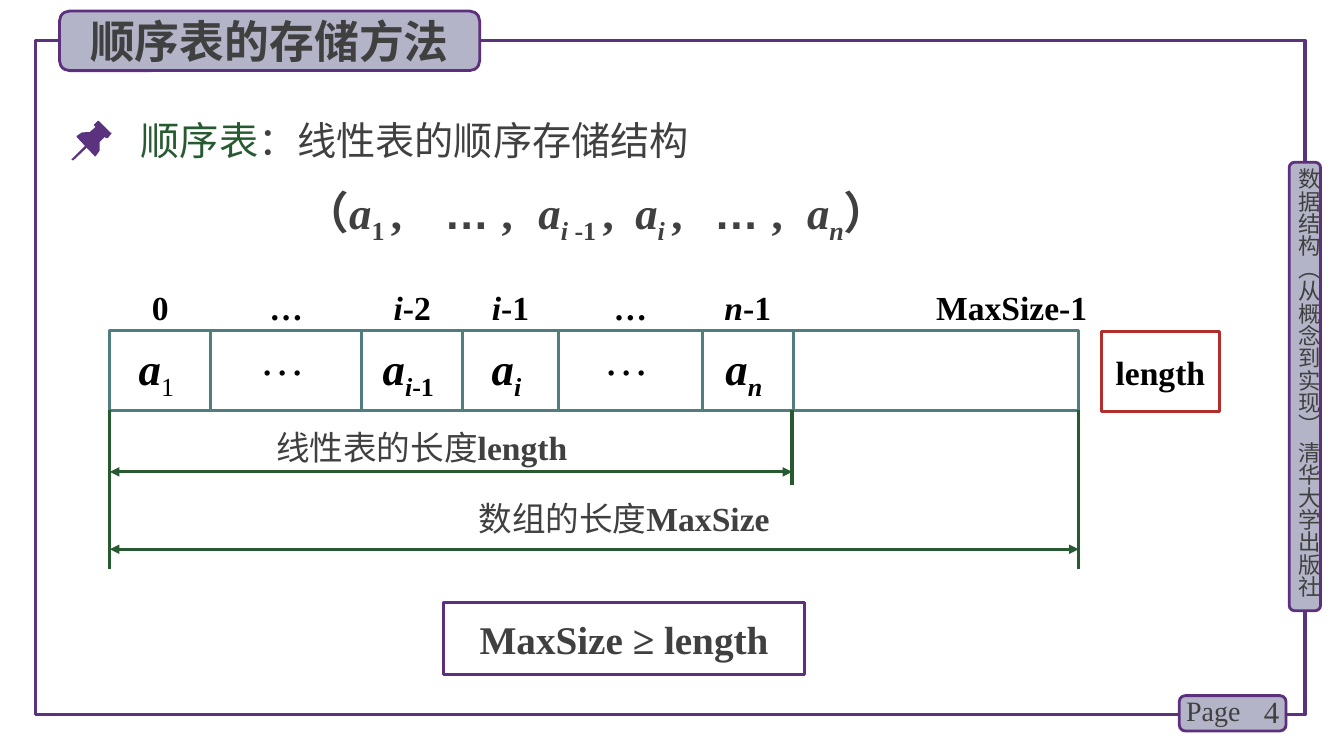
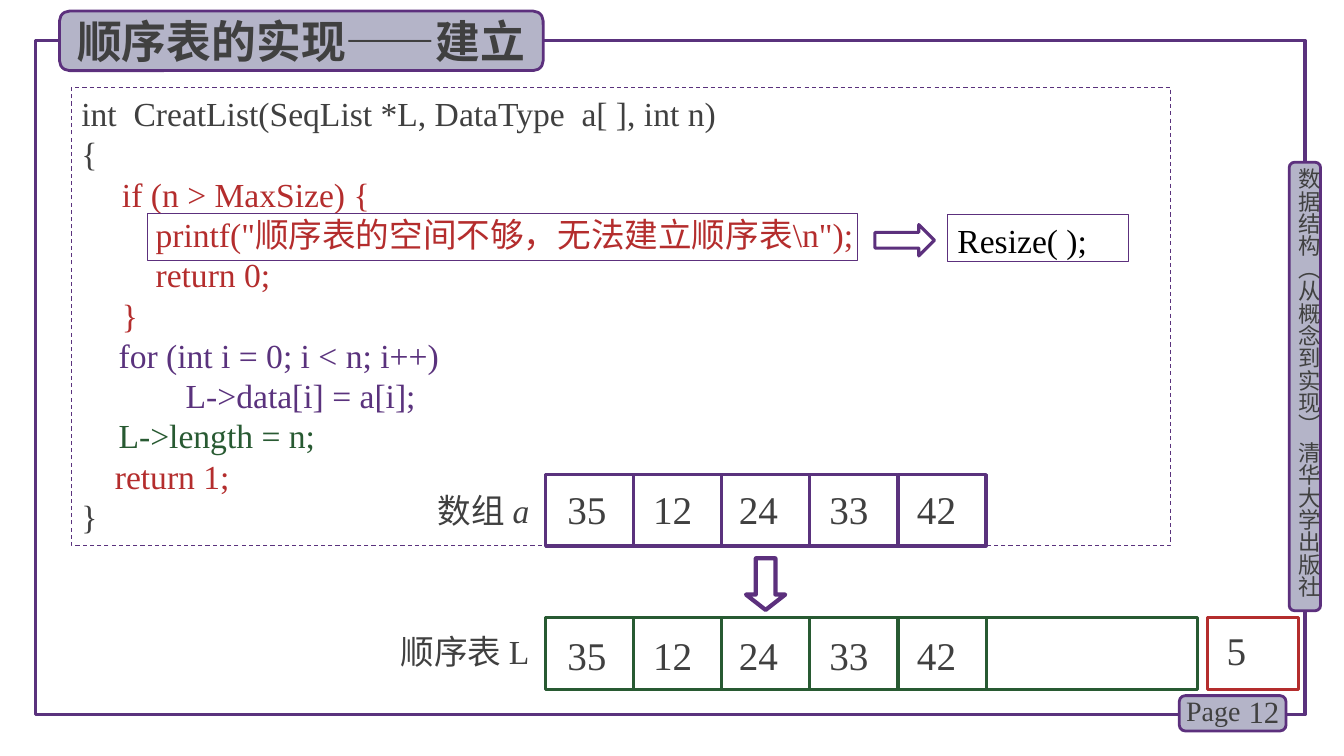
"""Build two slides on sequential lists: their storage and their creation."""
from typing import NamedTuple

from lxml import etree
from pptx import Presentation
from pptx.dml.color import RGBColor
from pptx.enum.dml import MSO_LINE
from pptx.enum.shapes import MSO_CONNECTOR, MSO_SHAPE
from pptx.enum.text import MSO_ANCHOR, PP_ALIGN
from pptx.oxml.ns import qn
from pptx.util import Cm, Pt

RECTANGLE, ROUNDED = MSO_SHAPE.RECTANGLE, MSO_SHAPE.ROUNDED_RECTANGLE
RIGHT_ARROW, DOWN_ARROW = MSO_SHAPE.RIGHT_ARROW, MSO_SHAPE.DOWN_ARROW
LEFT, CENTER, RIGHT = PP_ALIGN.LEFT, PP_ALIGN.CENTER, PP_ALIGN.RIGHT
TOP, MIDDLE = MSO_ANCHOR.TOP, MSO_ANCHOR.MIDDLE
STRAIGHT, DASH = MSO_CONNECTOR.STRAIGHT, MSO_LINE.DASH

PURPLE = RGBColor(0x5A, 0x32, 0x7D)
VIOLET = RGBColor(0x5C, 0x30, 0x7D)
LAVENDER = RGBColor(0xB4, 0xB4, 0xC8)
GREY = RGBColor(0x40, 0x40, 0x40)
GREEN = RGBColor(0x28, 0x5A, 0x32)
TEAL = RGBColor(0x50, 0x7D, 0x7D)
RED = RGBColor(0xB4, 0x2D, 0x2D)
BLACK = RGBColor(0, 0, 0)
TIMES, SANS, ARIAL = "Times New Roman", "Noto Sans CJK SC", "Arial"


class Run(NamedTuple):
    text: str
    colour: RGBColor = GREY
    bold: bool = False
    italic: bool = False
    subscript: bool = False
    font: str = TIMES


def add_box(slide, preset, place, paragraphs=(), size=24, line=None, weight=2.25, fill=None,
            align=LEFT, anchor=TOP, margins=(0.25, 0.13), wrap=True):
    """Add a preset shape, or a text box when preset is None, and write its runs."""
    place = [Cm(length) for length in place]
    if preset is None:
        shape = slide.shapes.add_textbox(*place)
    else:
        shape = slide.shapes.add_shape(preset, *place)
        shape.shadow.inherit = False
        shape.line.color.rgb = line
        shape.line.width = Pt(weight)
        if fill is None:
            shape.fill.background()
        else:
            shape.fill.solid()
            shape.fill.fore_color.rgb = fill
    frame = shape.text_frame
    frame.word_wrap = wrap
    frame.vertical_anchor = anchor
    frame.margin_left = frame.margin_right = Cm(margins[0])
    frame.margin_top = frame.margin_bottom = Cm(margins[1])
    for index, runs in enumerate(paragraphs):
        paragraph = frame.add_paragraph() if index else frame.paragraphs[0]
        paragraph.alignment = align
        for item in runs:
            run = paragraph.add_run()
            run.text = item.text
            run.font.size = Pt(size)
            run.font.bold = item.bold
            run.font.italic = item.italic
            run.font.color.rgb = item.colour
            run.font.name = item.font
            properties = run._r.get_or_add_rPr()
            etree.SubElement(properties, qn("a:ea")).set("typeface", SANS)
            if item.subscript:
                properties.set("baseline", "-25000")
    return shape


def add_line(slide, start, end, colour, arrows=False):
    """Add a straight line, with a triangle at both ends when arrows is set."""
    connector = slide.shapes.add_connector(
        STRAIGHT, *(Cm(length) for length in (*start, *end)))
    connector.line.color.rgb = colour
    connector.line.width = Pt(2.25)
    properties = connector._element.spPr
    if arrows:
        for name in ("a:headEnd", "a:tailEnd"):
            etree.SubElement(properties.find(qn("a:ln")), qn(name)).set("type", "triangle")
    etree.SubElement(properties, qn("a:effectLst"))


presentation = Presentation()
presentation.slide_width = Cm(33.87)
presentation.slide_height = Cm(19.05)

slides = []
for title, title_width, number in (("顺序表的存储方法", 10.59, "4"),
                                   ("顺序表的实现——建立", 12.19, "12")):
    slide = presentation.slides.add_slide(presentation.slide_layouts[6])
    slides.append(slide)
    add_box(slide, RECTANGLE, (0.89, 1.02, 32, 16.99), line=PURPLE)
    add_box(slide, ROUNDED, (32.49, 4.09, 0.79, 11.3), line=VIOLET, weight=2, fill=LAVENDER)
    side_text = add_box(slide, None, (32.64, 4.24, 0.69, 11.4),
                        [[Run("数据结构（从概念到实现） 清华大学出版社", font=SANS)]],
                        size=16, margins=(0, 0))
    side_text._element.txBody.bodyPr.set("vert", "eaVert")
    add_box(slide, ROUNDED, (29.72, 17.53, 2.69, 0.89), line=VIOLET, weight=2, fill=LAVENDER)
    add_box(slide, None, (30.99, 17.42, 1.5, 1.02), [[Run(number)]], size=22,
            align=RIGHT, anchor=MIDDLE)
    add_box(slide, None, (29.64, 17.35, 1.98, 1.12), [[Run("Page")]], size=20)
    add_box(slide, ROUNDED, (1.5, 0.28, title_width, 1.5),
            [[Run(title, bold=True, font=SANS)]], size=32, line=VIOLET, weight=2,
            fill=LAVENDER, align=CENTER, anchor=MIDDLE, wrap=False)

storage, creation = slides

PIN_HEAD = ((2.79, 3.35), (2.49, 3.05), (2.46, 3.05), (2.36, 3.15), (2.41, 3.2),
            (2.26, 3.33), (2.18, 3.33), (2.06, 3.34), (1.93, 3.43), (1.93, 3.45),
            (2.39, 3.94), (2.41, 3.94), (2.51, 3.8), (2.51, 3.58), (2.64, 3.45),
            (2.67, 3.48), (2.72, 3.48), (2.82, 3.35))
PIN_NEEDLE = ((1.85, 4.04), (1.83, 4.04), (1.8, 4.02), (1.83, 3.99), (2.16, 3.66),
              (2.2, 3.66), (2.2, 3.71))
for outline in (PIN_HEAD, PIN_NEEDLE):
    points = [(Cm(x), Cm(y)) for x, y in outline]
    builder = storage.shapes.build_freeform(*points[0])
    builder.add_line_segments(points[1:])
    pin_part = builder.convert_to_shape()
    pin_part.shadow.inherit = False
    pin_part.fill.solid()
    pin_part.fill.fore_color.rgb = PURPLE
    pin_part.line.fill.background()

add_box(storage, None, (3.3, 2.79, 15.04, 1.45),
        [[Run("顺序表", GREEN, font=SANS), Run("：线性表的顺序存储结构", font=SANS)]], size=28)

variable = Run("a", bold=True, italic=True)
plain = Run("", bold=True)
index_run = Run("", bold=True, italic=True, subscript=True)
dots = Run("\t… ", bold=True, font=ARIAL)
comma = plain._replace(text=",")
next_variable = variable._replace(text="\ta")
formula = add_box(storage, None, (7.42, 4.52, 17.2, 1.63), [[
    plain._replace(text="（"), variable,
    Run("1 ", bold=True, subscript=True), comma, dots, comma,
    next_variable, index_run._replace(text="i "),
    Run("-1 ", bold=True, subscript=True), comma,
    next_variable, index_run._replace(text="i "), comma, dots, comma,
    next_variable, index_run._replace(text="n"), plain._replace(text="）")]], size=32)
tab_list = etree.SubElement(formula.text_frame.paragraphs[0]._p.get_or_add_pPr(),
                            qn("a:tabLst"))
for position in (3.53, 5.9, 8.34, 10.33, 12.67):
    tab_stop = etree.SubElement(tab_list, qn("a:tab"))
    tab_stop.set("pos", str(Cm(position)))
    tab_stop.set("algn", "l")

CELL_EDGES = (2.77, 5.31, 9.12, 11.66, 14.07, 17.7, 19.99, 27.18)
CELL_TOP, CELL_HEIGHT = 8.33, 2.01
CELL_BOTTOM = CELL_TOP + CELL_HEIGHT
label = Run("", BLACK, bold=True)
label_index = label._replace(italic=True)
element = Run("a", BLACK, bold=True, italic=True)
element_index = element._replace(subscript=True)
ellipsis_label = [label._replace(text="…")]
ellipsis = [Run("…", BLACK)]
CELLS = (
    ([label._replace(text="0")], [element, Run("1", BLACK, subscript=True)]),
    (ellipsis_label, ellipsis),
    ([label_index._replace(text="i"), label._replace(text="-2")],
     [element, element_index._replace(text="i"),
      label._replace(text="-1", subscript=True)]),
    ([label_index._replace(text="i"), label._replace(text="-1")],
     [element, element_index._replace(text="i")]),
    (ellipsis_label, ellipsis),
    ([label_index._replace(text="n"), label._replace(text="-1")],
     [element, element_index._replace(text="n")]),
)
add_box(storage, RECTANGLE,
        (CELL_EDGES[0], CELL_TOP, CELL_EDGES[-1] - CELL_EDGES[0], CELL_HEIGHT), line=TEAL)
for edge in CELL_EDGES[1:-1]:
    add_line(storage, (edge, CELL_TOP), (edge, CELL_BOTTOM), TEAL)
for left, right, (label_runs, cell_runs) in zip(CELL_EDGES, CELL_EDGES[1:], CELLS):
    add_box(storage, None, (left, 7.09, right - left, 1.27), [label_runs],
            align=CENTER, margins=(0, 0.13))
    cell_top = 8.2 if cell_runs is ellipsis else 8.46
    add_box(storage, None, (left - 0.1, cell_top, right - left, 1.6), [cell_runs], size=32,
            align=CENTER, margins=(0, 0.13))
add_box(storage, None, (22.4, 7.09, 5, 1.27), [[label._replace(text="MaxSize-1")]],
        align=RIGHT, margins=(0, 0.13))
add_box(storage, RECTANGLE, (27.76, 8.36, 2.97, CELL_HEIGHT),
        [[label._replace(text="length")]], line=RED, align=CENTER, anchor=MIDDLE,
        margins=(0, 0.13))

ARRAY_LEFT, LIST_END, ARRAY_RIGHT = 2.77, 19.96, 27.18
for x, bottom in ((ARRAY_LEFT, 14.33), (LIST_END, 12.22), (ARRAY_RIGHT, 14.33)):
    add_line(storage, (x, CELL_BOTTOM), (x, bottom), GREEN)
for end, y, caption, name, place in (
        (LIST_END, 11.89, "线性表的长度", "length", (6.71, 10.64, 8.64, 1.27)),
        (ARRAY_RIGHT, 13.84, "数组的长度", "MaxSize", (11.81, 12.42, 8.86, 1.27))):
    add_line(storage, (ARRAY_LEFT, y), (end, y), GREEN, arrows=True)
    add_box(storage, None, place, [[Run(caption, font=SANS), Run(name, bold=True)]])

add_box(storage, RECTANGLE, (11.18, 15.19, 9.09, 1.8), [[Run("MaxSize ≥ length", bold=True)]],
        size=28, line=VIOLET, align=CENTER, anchor=MIDDLE, wrap=False)

CODE = (
    (0, GREY, "int  CreatList(SeqList *L, DataType  a[ ], int n)"),
    (0, GREY, "{"),
    (0.18, RED, "    if (n > MaxSize) {"),
    (0.18, RED, "        printf(\"顺序表的空间不够，无法建立顺序表\\n\");"),
    (0.18, RED, "        return 0;"),
    (0.18, RED, "    }"),
    (0.94, PURPLE, "for (int i = 0; i < n; i++)"),
    (0.94, PURPLE, "        L->data[i] = a[i];"),
    (0.94, GREEN, "L->length = n;"),
    (0, RED, "    return 1;"),
    (0, GREY, "}"),
)
listing = add_box(creation, RECTANGLE, (1.8, 2.21, 27.71, 11.53),
                  [[Run(text, colour)] for indent, colour, text in CODE],
                  line=PURPLE, weight=0.75)
listing.line.dash_style = DASH
for paragraph, (indent, colour, text) in zip(listing.text_frame.paragraphs, CODE):
    paragraph.line_spacing = Pt(28.8)
    paragraph._p.get_or_add_pPr().set("marL", str(Cm(indent)))

add_box(creation, RECTANGLE, (3.73, 5.38, 17.88, 1.19), line=VIOLET, weight=0.75)
add_box(creation, RIGHT_ARROW, (22.05, 5.66, 1.5, 0.79), line=VIOLET)
add_box(creation, RECTANGLE, (23.88, 5.41, 4.55, 1.19), [[Run("Resize( );", BLACK)]],
        line=VIOLET, weight=0.75)

VALUES = ("35", "12", "24", "33", "42")
VALUE_LEFTS = (14.3, 16.46, 18.62, 20.9, 23.11)
ROW_LEFT, PITCH, ROW_HEIGHT = 13.75, 2.22, 1.8
ARRAY_TOP, LIST_TOP = 11.96, 15.57
add_box(creation, None, (10.72, 12.22, 2.87, 1.3), [[Run("数组 "), Run("a", italic=True)]],
        align=RIGHT)
add_box(creation, None, (9.65, 15.77, 3.94, 1.27), [[Run("顺序表 L")]], align=RIGHT)
add_box(creation, RECTANGLE, (ROW_LEFT, LIST_TOP, 16.43, ROW_HEIGHT), line=GREEN)
add_box(creation, RECTANGLE, (30.43, LIST_TOP, 2.29, ROW_HEIGHT), line=RED)
add_box(creation, None, (30.91, 15.77, 0.94, 1.19), [[Run("5")]], size=28, margins=(0, 0))
for index, (value, value_left) in enumerate(zip(VALUES, VALUE_LEFTS)):
    cell_left = ROW_LEFT + index * PITCH
    divider = cell_left + PITCH
    add_box(creation, RECTANGLE, (cell_left, ARRAY_TOP, PITCH, ROW_HEIGHT), line=PURPLE)
    add_line(creation, (divider, LIST_TOP), (divider, LIST_TOP + ROW_HEIGHT), GREEN)
    for value_top in (12.24, 15.92):
        add_box(creation, None, (value_left, value_top, 1.32, 1.19), [[Run(value)]],
                size=28, margins=(0, 0))

down_arrow = add_box(creation, DOWN_ARROW, (18.8, 14.07, 0.99, 1.3), line=VIOLET, weight=3)
down_arrow.adjustments[1] = 0.39

presentation.save("out.pptx")
